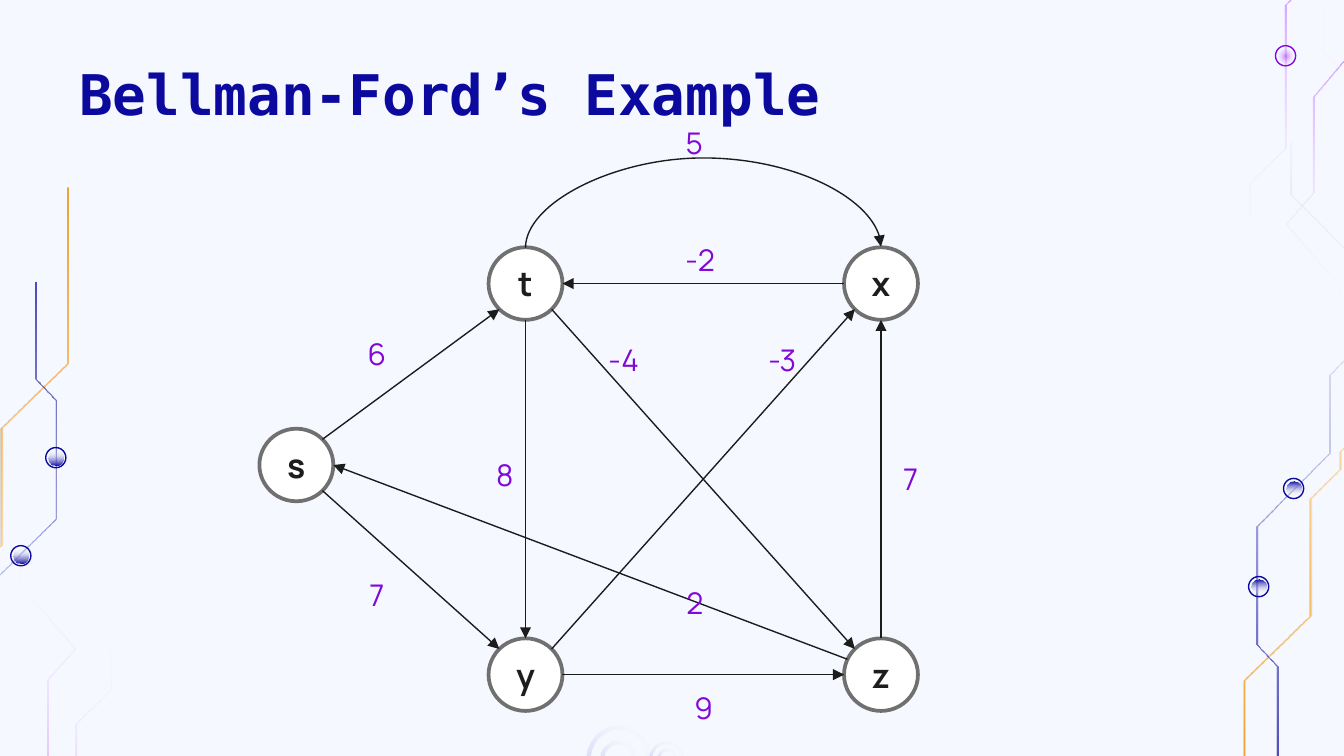
"""Build a slide that shows a weighted graph for the Bellman-Ford algorithm."""
from dataclasses import dataclass
from math import cos, radians, sin

from lxml import etree
from pptx import Presentation
from pptx.dml.color import RGBColor
from pptx.enum.shapes import MSO_CONNECTOR, MSO_SHAPE
from pptx.enum.text import MSO_ANCHOR, MSO_AUTO_SIZE, PP_ALIGN
from pptx.oxml import parse_xml
from pptx.oxml.ns import nsdecls, qn
from pptx.util import Inches, Pt

OVAL, DONUT = MSO_SHAPE.OVAL, MSO_SHAPE.DONUT
LINE, CURVE = MSO_CONNECTOR.STRAIGHT, MSO_CONNECTOR.CURVE
LEFT, CENTER = PP_ALIGN.LEFT, PP_ALIGN.CENTER
TOP, MIDDLE = MSO_ANCHOR.TOP, MSO_ANCHOR.MIDDLE
GROW = MSO_AUTO_SIZE.SHAPE_TO_FIT_TEXT
WIDE, HIGH = Inches(10), Inches(5.625)
CELL = WIDE / 100


@dataclass(frozen=True)
class Theme:
    """Colours, fonts and type sizes of the slide."""
    back: str = "F5F8FF"
    navy: str = "0C0A9E"
    violet: str = "8208D5"
    ink: str = "1D1D1D"
    edge: str = "1C1C1C"
    rim: str = "707070"
    white: str = "FFFFFF"
    head: str = "DejaVu Sans Mono"
    body: str = "Manrope"
    big: int = 30
    mid: int = 18
    small: int = 16
    gold: tuple = ((0, "EB9109", 100), (40, "FF9900", 41), (100, "FFFFFF", 0))
    blue: tuple = ((0, "0C0A9E", 100), (100, "FFFFFF", 0))
    lilac: tuple = ((0, "9900FF", 47), (100, "FFFFFF", 0))
    mist: tuple = ((0, "0C0A9E", 20), (100, "FFFFFF", 0))


THEME = Theme()
BLUE_TURN, LILAC_TURN = (97.8, 77.7), (101.4, 64.9)
TRACES = [
    (THEME.gold, 45, 45, BLUE_TURN,
     [(5.1, 14), (5.1, 27.1), (0.2, 31.9), (0.2, 40.6), (-2, 42.8), (-2, 44.1),
      (-3.2, 45.3), (-3.2, 50.7), (-5.6, 53.2), (-5.6, 56.7), (-7.3, 58.4),
      (-7.3, 67.2), (-0.7, 73.8), (-0.7, 81.5)]),
    (THEME.blue, 45, 90, BLUE_TURN,
     [(2.7, 21), (2.7, 28.2), (4.2, 29.8), (4.2, 38.6), (-1.2, 44), (-1.2, 49.8),
      (-3.6, 52.3), (-3.6, 57.9), (1.7, 63.2), (1.7, 67.1)]),
    (THEME.lilac, 180, 90, LILAC_TURN,
     [(2.1, 68.1), (5.7, 64.5), (5.7, 53.9), (8.3, 51.3), (8.3, 46.5)]),
    (THEME.lilac, 180, 90, LILAC_TURN,
     [(-1.8, 64.2), (3.6, 57.7), (3.6, 50.6), (5.6, 48.3), (1.6, 43.6), (1.6, 41.3)]),
]
DOTS = [(4.15, 34.05), (1.55, 41.35)]
RINGS = [(46, 4.8, 0.35), (46, 2.6, 0.3), (49.6, 2.5, 0.2), (49.6, 1.4, 0.2)]
NODES = {"t": (39.1, 21.1), "x": (65.55, 21.1), "z": (65.55, 50.2),
         "y": (39.1, 50.2), "s": (22.05, 34.6)}
EDGES = [("s", -45, "t", 135), ("s", 45, "y", 225), ("t", 90, "y", 270),
         ("x", 180, "t", 0), ("z", 270, "x", 90), ("y", 0, "z", 180),
         ("y", -45, "x", 135), ("t", 45, "z", 225), ("z", 205, "s", 0)]
COSTS = [("5", 51.65, 8.8), ("-3", 58.2, 24.9), ("7", 28.05, 42.4),
         ("9", 52.35, 50.8), ("6", 28.05, 24.5), ("7", 67.75, 33.8),
         ("-2", 52.1, 17.5), ("-4", 46.4, 24.9), ("8", 37.55, 33.5),
         ("2", 51.7, 43)]


def cells(*nums):
    """Turn grid cells into slide units."""
    return [round(n * CELL) for n in nums]


def tint(name):
    """Return a colour for a hex name."""
    return RGBColor.from_string(name)


def write(frame, text, size=THEME.small, color=THEME.violet, font=THEME.body,
          bold=False, align=CENTER, anchor=TOP):
    """Put one formatted line of text in a frame."""
    frame.word_wrap = True
    frame.vertical_anchor = anchor
    para = frame.paragraphs[0]
    para.alignment = align
    run = para.add_run()
    run.text = text
    run.font.size, run.font.name, run.font.bold = Pt(size), font, bold
    run.font.color.rgb = tint(color)


def blend(shape, stops, turn=None):
    """Fill a shape with a linear blend, or a round one without a turn."""
    marks = "".join(
        f'<a:gs pos="{pos * 1000}"><a:srgbClr val="{name}">'
        f'<a:alpha val="{part * 1000}"/></a:srgbClr></a:gs>'
        for pos, name, part in stops)
    if turn is None:
        way = ('<a:path path="circle"><a:fillToRect l="50000" t="50000" '
               'r="50000" b="50000"/></a:path>')
    else:
        way = f'<a:lin ang="{turn * 60000}" scaled="0"/>'
    shape.fill.background()
    prop = shape._element.spPr
    prop.replace(prop.find(qn("a:noFill")), parse_xml(
        f'<a:gradFill {nsdecls("a")} rotWithShape="1">'
        f'<a:gsLst>{marks}</a:gsLst>{way}</a:gradFill>'))


def round_shape(slide, kind, mid, wide, high, turn=0):
    """Add a plain shape around a middle point."""
    x, y = mid
    shape = slide.shapes.add_shape(
        kind, *cells(x - wide / 2, y - high / 2, wide, high))
    shape.shadow.inherit = False
    shape.fill.background()
    shape.line.fill.background()
    shape.rotation = turn
    return shape


def border(shape, color, width):
    """Give a shape or line its stroke."""
    shape.line.color.rgb = tint(color)
    shape.line.width = Pt(width)


def spin(point, turn):
    """Rotate a point clockwise about the origin."""
    (x, y), a = point, radians(turn)
    return x * cos(a) - y * sin(a), x * sin(a) + y * cos(a)


def flip(point, total):
    """Turn a point half way round the middle of a total."""
    return total[0] - point[0], total[1] - point[1]


def trace(slide, side, stops, turn, slant):
    """Add a thin circuit trace from one of its sides."""
    rim = side + [(x - 0.14, y) for x, y in reversed(side)]
    flat = [spin(p, -turn) for p in rim]
    xs, ys = zip(*flat)
    mid = spin(((min(xs) + max(xs)) / 2, (min(ys) + max(ys)) / 2), turn)
    start, *rest = [cells(*p) for p in flat]
    pen = slide.shapes.build_freeform(*start)
    pen.add_line_segments(rest, close=True)
    shape = pen.convert_to_shape()
    x, y = cells(*mid)
    shape.left, shape.top = x - shape.width // 2, y - shape.height // 2
    shape.rotation = turn
    shape.shadow.inherit = False
    shape.line.fill.background()
    blend(shape, stops, slant)


def dot(slide, mid, color, stops, slant=None, turn=0):
    """Add a circuit dot with an outer ring."""
    border(round_shape(slide, OVAL, mid, 1.5, 1.5, turn), color, 0.75)
    blend(round_shape(slide, OVAL, mid, 1.1, 1.1, turn), stops, slant)


def node(slide, name, mid):
    """Add a graph node."""
    shape = round_shape(slide, OVAL, mid, 5.5, 5.4)
    shape.fill.solid()
    shape.fill.fore_color.rgb = tint(THEME.white)
    border(shape, THEME.rim, 2)
    frame = shape.text_frame
    frame.margin_left = frame.margin_right = 0
    write(frame, name, size=THEME.mid, color=THEME.ink, bold=True, anchor=MIDDLE)


def arrow(slide, kind, start, end):
    """Add a connector with an arrowhead at its end."""
    line = slide.shapes.add_connector(kind, *cells(*start, *end))
    border(line, THEME.edge, 0.75)
    etree.SubElement(line.line._get_or_add_ln(), qn("a:tailEnd"), type="triangle")
    etree.SubElement(line._element.spPr, qn("a:effectLst"))
    return line


def site(name, turn):
    """Find the point on a node's rim at an angle."""
    x, y = NODES[name]
    a = radians(turn)
    return x + 2.75 * cos(a), y + 2.7 * sin(a)


def arc(slide):
    """Add the curved edge from t to x."""
    (left, y), (right, _) = site("t", 270), site("x", 270)
    mid, half = (left + right) / 2, (right - left) / 2
    line = arrow(slide, CURVE, (mid + 0.05, y + half), (mid - 0.05, y - half))
    prop = line._element.spPr
    prop.find(qn("a:xfrm")).set("rot", "5400000")
    form = prop.find(qn("a:prstGeom"))
    bends = form.find(qn("a:avLst"))
    if bends is None:
        bends = etree.SubElement(form, qn("a:avLst"))
    etree.SubElement(bends, qn("a:gd"), name="adj1", fmla="val 6800000")


def cost(slide, text, mid, top):
    """Add the weight of an edge."""
    wide = 5.8 if len(text) > 1 else 4.3
    box = slide.shapes.add_textbox(*cells(mid - wide / 2, top, wide, 3.6))
    write(box.text_frame, text)
    box.text_frame.auto_size = GROW


def title(slide, text):
    """Add the slide title."""
    frame = slide.shapes.add_textbox(*cells(4.9, 3.4, 84.3, 6.3)).text_frame
    frame.margin_top = frame.margin_bottom = Inches(0.1)
    write(frame, text, size=THEME.big, color=THEME.navy, font=THEME.head,
          bold=True, align=LEFT)


def decor(slide):
    """Add the circuit art, each left part also turned to the right."""
    for stops, turn, slant, total, side in TRACES:
        trace(slide, side, stops, turn, slant)
        trace(slide, [flip(p, total) for p in side], stops, (turn + 180) % 360, slant)
    for mid in DOTS:
        dot(slide, mid, THEME.navy, THEME.blue, 90, 180)
        dot(slide, flip(mid, BLUE_TURN), THEME.navy, THEME.blue, 90)
    dot(slide, (95.65, 4.15), THEME.violet, THEME.lilac)
    for x, size, band in RINGS:
        ring = round_shape(slide, DONUT, (x, 56.4), size, size, 90)
        ring.adjustments[0] = round(band / size, 2)
        blend(ring, THEME.mist, 225)


def main():
    """Build and save the slide."""
    deck = Presentation()
    deck.slide_width, deck.slide_height = WIDE, HIGH
    slide = deck.slides.add_slide(deck.slide_layouts[6])
    slide.background.fill.solid()
    slide.background.fill.fore_color.rgb = tint(THEME.back)
    decor(slide)
    title(slide, "Bellman-Ford’s Example")
    for name, mid in NODES.items():
        node(slide, name, mid)
    for tail, out, head, into in EDGES:
        arrow(slide, LINE, site(tail, out), site(head, into))
    arc(slide)
    for text, mid, top in COSTS:
        cost(slide, text, mid, top)
    deck.save("out.pptx")


if __name__ == "__main__":
    main()
